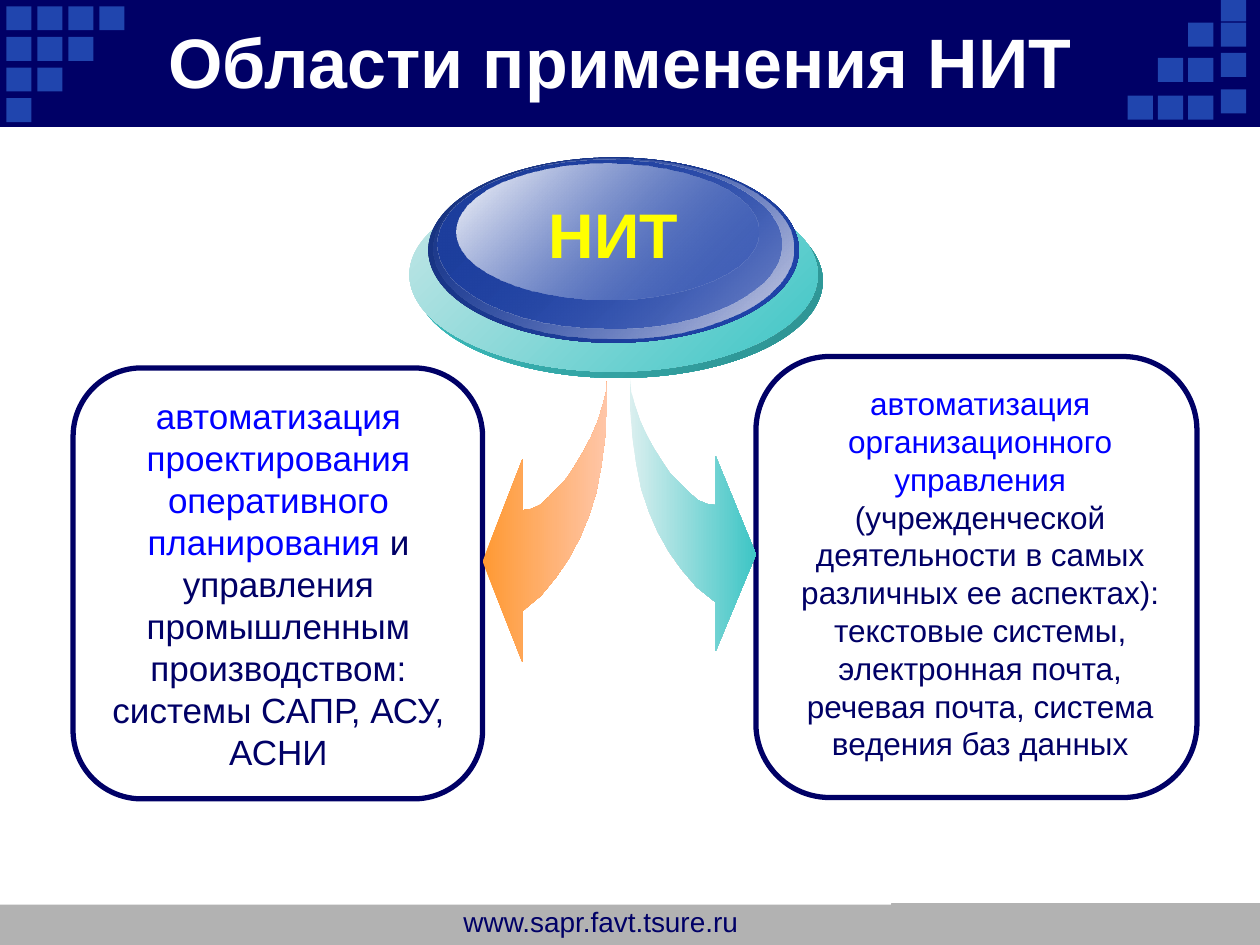
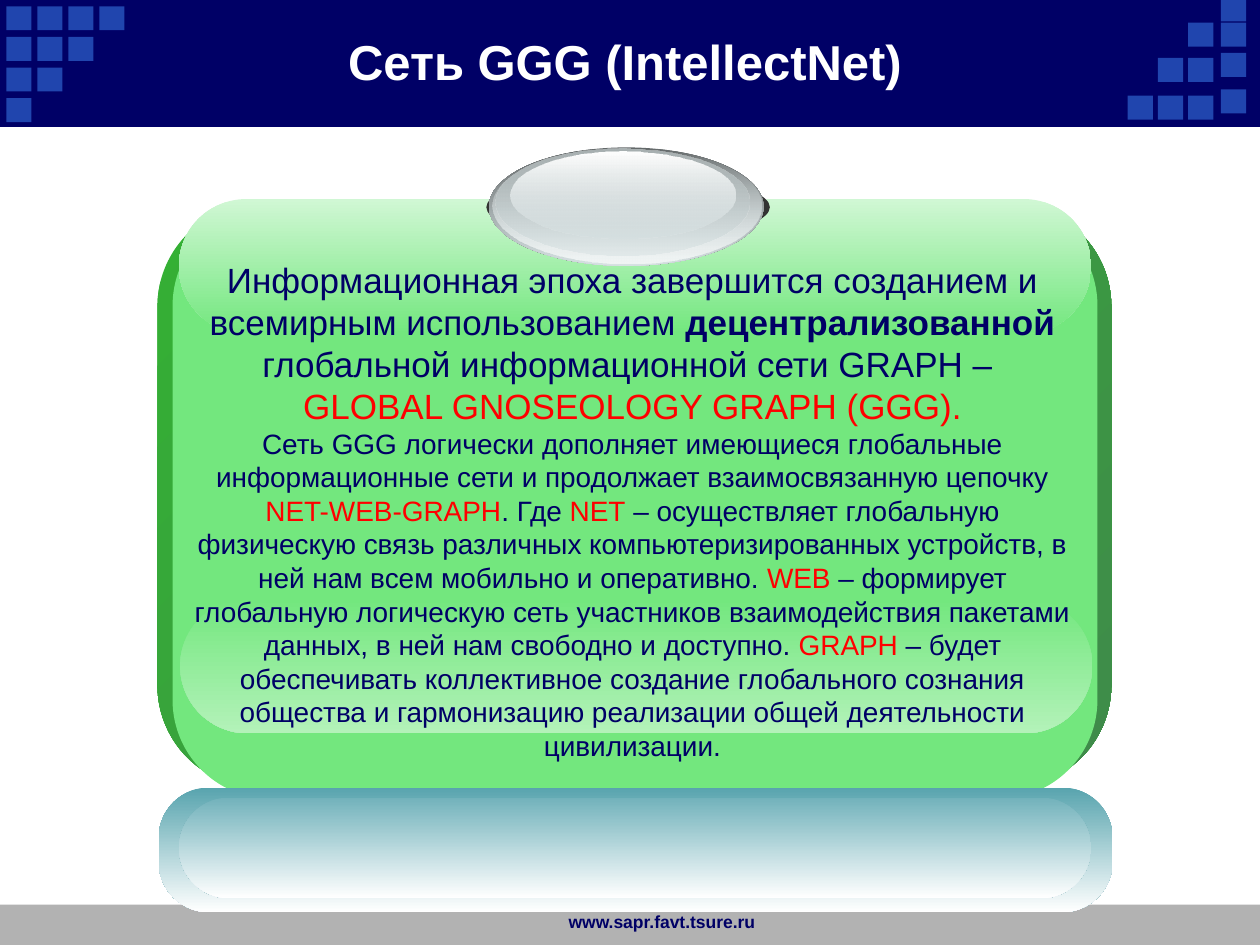
from dataclasses import dataclass

from lxml import etree
from pptx import Presentation
from pptx.dml.color import RGBColor
from pptx.enum.shapes import MSO_SHAPE
from pptx.enum.text import MSO_ANCHOR, PP_ALIGN
from pptx.oxml.ns import qn
from pptx.util import Emu, Inches, Pt

COLS, ROWS = 100, 75
OVAL, ROUND, RECT = MSO_SHAPE.OVAL, MSO_SHAPE.ROUNDED_RECTANGLE, MSO_SHAPE.RECTANGLE
SITE = "www.sapr.favt.tsure.ru"


@dataclass(frozen=True)
class Theme:
    font: str = "Arial"
    navy: str = "000066"
    blue: str = "2045AE"
    link: str = "0000FF"
    teal: str = "3DC5C5"
    orange: str = "FF9933"
    peach: str = "FFC6A8"
    pale_teal: str = "DAEFEF"
    silver: str = "D6E1E2"
    green: str = "73E77E"
    gray: str = "B2B2B2"
    white: str = "FFFFFF"
    yellow: str = "FFFF00"
    red: str = "FF0000"
    charcoal: str = "333333"
    title: int = 40
    subtitle: int = 28
    label: int = 36
    body: int = 20
    note: int = 18
    small: int = 16
    footer: int = 10


T = Theme()

# Right-hand curved arrow: columns and rows from its tail
ARROW = [
    (0, 0), (0, 2.4), (0.2, 4.7), (0.5, 6.8), (0.9, 8.8), (1.5, 10.6), (2.2, 12.2),
    (3.1, 13.8), (4.1, 15.2), (5.3, 16.6), (6.8, 17.8), (6.8, 21.7), (10, 14),
    (6.8, 6.2), (6.8, 10.1), (6.1, 10), (5.4, 9.7), (4.7, 9.1), (4, 8.4), (3.2, 7.6),
    (2.6, 6.7), (1.9, 5.6), (1.3, 4.5), (0.8, 3.4), (0.4, 2.2), (0.1, 1.1),
]


def write(tf, paragraphs, size=T.body, color=T.navy, bold=False, align=PP_ALIGN.CENTER):
    """Fill a frame; each paragraph is a list of strings or (string, overrides)."""
    for i, runs in enumerate(paragraphs):
        p = tf.paragraphs[0] if i == 0 else tf.add_paragraph()
        p.alignment = align
        for item in runs:
            text, own = (item, {}) if isinstance(item, str) else item
            r = p.add_run()
            r.text = text
            r.font.name = T.font
            r.font.size = Pt(own.get("size", size))
            r.font.bold = own.get("bold", bold)
            r.font.color.rgb = RGBColor.from_string(own.get("color", color))


class Deck:
    """Holds the presentation and the current slide; lengths are grid columns and rows."""

    def __init__(self):
        self.prs = Presentation()
        self.prs.slide_width, self.prs.slide_height = Inches(10), Inches(7.5)
        self.s = None

    def x(self, cols):
        return Emu(round(self.prs.slide_width * cols / COLS))

    def y(self, rows):
        return Emu(round(self.prs.slide_height * rows / ROWS))

    def box(self, left, top, width, height):
        return self.x(left), self.y(top), self.x(width), self.y(height)

    def paint(self, sp, fill=None, line=None, weight=0.75, angle=0):
        """Fill is a colour, or a list of (colour, opacity percent) gradient stops."""
        sp.shadow.inherit = False
        if fill is None:
            sp.fill.background()
        elif isinstance(fill, str):
            sp.fill.solid()
            sp.fill.fore_color.rgb = RGBColor.from_string(fill)
        else:
            sp.fill.gradient()
            sp.fill.gradient_angle = -angle % 360
            stops = sp.fill.gradient_stops
            for pos, (stop, (color, opacity)) in enumerate(zip(stops, fill)):
                stop.position = pos
                stop.color.rgb = RGBColor.from_string(color)
            clrs = sp.fill._xPr.iter(qn("a:srgbClr"))
            for clr, (color, opacity) in zip(clrs, fill):
                if opacity < 100:
                    etree.SubElement(clr, qn("a:alpha")).set("val", str(opacity * 1000))
        if line is None:
            sp.line.fill.background()
        else:
            sp.line.color.rgb = RGBColor.from_string(line)
            sp.line.width = Pt(weight)

    def shape(self, kind, *place, adj=None, **look):
        sp = self.s.shapes.add_shape(kind, *self.box(*place))
        if adj is not None:
            sp.adjustments[0] = adj
        self.paint(sp, **look)

    def blend(self, kind, place, start, end, angle, start_op=100, end_op=100, adj=None):
        self.shape(kind, *place, adj=adj, angle=angle,
                   fill=[(start, start_op), (end, end_op)])

    def text(self, *place, paragraphs, wrap=True, anchor=MSO_ANCHOR.TOP, **look):
        tf = self.s.shapes.add_textbox(*self.box(*place)).text_frame
        tf.word_wrap = wrap
        tf.vertical_anchor = anchor
        write(tf, paragraphs, **look)

    def outline(self, points, left, top, xscale, yscale, **look):
        pts = [(self.x(left + px * xscale), self.y(top + py * yscale)) for px, py in points]
        fb = self.s.shapes.build_freeform(*pts[0], scale=1.0)
        fb.add_line_segments(pts[1:], close=True)
        self.paint(fb.convert_to_shape(), **look)

    def title(self, left, width, text, size):
        self.text(left, 1.7, width, 6.2, paragraphs=[[text]], size=size, bold=True,
                  color=T.white, anchor=MSO_ANCHOR.MIDDLE)

    def slide(self):
        """Start a slide with the footer strip, title band and corner squares."""
        self.s = self.prs.slides.add_slide(self.prs.slide_layouts[6])
        self.shape(RECT, 0, 71.8, COLS, 3.2, fill=T.gray)
        self.shape(RECT, 0, 0, COLS, 10, fill=T.navy, line=T.navy)
        squares = [(0.5 + 2.46 * col, 0.5 + 2.43 * row)
                   for row in range(4) for col in range(4 - row)]
        steps = (7.6, 4.6, 1.8)
        squares += [(89.5 + 2.4 * col, top)
                    for col in range(3) for top in steps[:col + 1]]
        squares += [(96.9, top) for top in (7.1, 4.2, 1.8, -0.2)]
        for left, top in squares:
            self.shape(RECT, left, top, 2, 1.9, fill=T.blue)


def areas_slide(d):
    d.slide()
    d.title(6.7, 85, "Области применения НИТ", T.title)
    for place in ((60, 28.3, 35, 35), (5.8, 29.2, 32.5, 34.2)):
        d.shape(ROUND, *place, adj=0.167, line=T.navy, weight=3)
    d.text(6.7, 30.8, 30.8, 31.3, paragraphs=[[
        ("автоматизация проектирования оперативного планирования", {"color": T.link}),
        " и управления промышленным производством: системы САПР, АСУ, АСНИ"]])
    d.outline(ARROW, 48.2, 30, -0.99, 1.04, fill=[(T.orange, 100), (T.peach, 100)])
    d.outline(ARROW, 50, 30, 1, 1, fill=[(T.pale_teal, 100), (T.teal, 100)])

    for place, start, end, *opacity in (
        ((32.9, 14.6, 32.4, 15.4), T.teal, "2D9090"),
        ((32.5, 14.1, 32.4, 15.4), "C8E8E8", T.teal),
        ((34, 12.5, 29.4, 14.7), "17317C", T.blue),
        ((34.4, 12.6, 28.6, 14.3), T.blue, "D4D6E7", 0, 100),
        ((34.7, 12.7, 27.3, 13.4), "1D3E9D", T.blue, 100, 48),
        ((36.2, 13, 24, 10.8), T.white, T.blue, 100, 38),
    ):
        d.blend(OVAL, place, start, end, 45, *opacity)
    d.text(42.5, 15, 12.4, 7.1, paragraphs=[["НИТ"]], wrap=False,
           size=T.label, color=T.yellow, bold=True)

    d.text(62.5, 30, 30.6, 31.3, size=T.note, paragraphs=[[
        ("автоматизация организационного управления", {"color": T.link}),
        " (учрежденческой деятельности в самых различных ее аспектах): текстовые системы, "
        "электронная почта, речевая почта, система ведения баз данных"]])
    d.shape(RECT, 70.8, 71.7, 29.2, 3.3, fill=T.gray, line=T.gray)
    d.text(35.8, 71.3, 24.1, 3.7, paragraphs=[[SITE]], size=T.small, align=PP_ALIGN.LEFT)


def network_slide(d):
    d.slide()
    d.text(41.7, 71.8, 19.2, 3.2, paragraphs=[[SITE]], size=T.footer, bold=True,
           align=PP_ALIGN.RIGHT)

    d.blend(ROUND, (12.5, 16.2, 75.7, 46.3), "34B034", "3F8B4A", 45, adj=0.175)
    d.shape(ROUND, 13.7, 16.4, 73.4, 47, adj=0.167, fill=T.green)
    d.blend(ROUND, (14.3, 47.5, 72.4, 10.7), T.green, "B3F2B9", 90, adj=0.5)
    d.blend(ROUND, (14.2, 15.8, 72.4, 10.7), "D0F7D4", T.green, 90, adj=0.5)

    d.shape(OVAL, 38.6, 13.8, 22.5, 5.3, fill=T.charcoal)
    for place, start, end, *opacity in (
        ((38.8, 11.7, 21.8, 9.4), "636869", T.silver),
        ((39.1, 11.7, 21.3, 9.2), T.silver, "F1F5F5", 0, 100),
        ((39.3, 11.8, 20.2, 8.5), "AAB2B3", T.silver, 100, 48),
        ((40.5, 12, 17.9, 6.9), T.white, T.silver, 100, 38),
    ):
        d.blend(OVAL, place, start, end, 90, *opacity)

    red = {"color": T.red, "size": T.small}
    small = {"size": T.small}
    d.text(14.2, 20, 72, 41.4, paragraphs=[
        ["Информационная эпоха завершится созданием и всемирным использованием ",
         ("децентрализованной ", {"bold": True}),
         "глобальной информационной сети GRAPH – "],
        [("GLOBAL GNOSEOLOGY GRAPH (GGG).", {"color": T.red})],
        [("Сеть GGG логически дополняет имеющиеся глобальные информационные сети и "
          "продолжает взаимосвязанную цепочку ", small),
         ("NET-WEB-GRAPH", red), (". Где ", small), ("NET", red),
         (" – осуществляет глобальную физическую связь различных компьютеризированных "
          "устройств, в ней нам всем мобильно и оперативно. ", small),
         ("WEB", red),
         (" – формирует глобальную логическую сеть участников взаимодействия пакетами "
          "данных, в ней нам свободно и доступно. ", small),
         ("GRAPH", red),
         (" – будет обеспечивать коллективное создание глобального сознания общества и "
          "гармонизацию реализации общей деятельности цивилизации.", small)],
    ])
    d.blend(ROUND, (12.6, 62.5, 75.7, 9.9), "58A4AE", T.white, 90, adj=0.404)
    d.blend(ROUND, (14.2, 63.3, 72.4, 8), "72B2BB", T.white, 90, adj=0.5)
    d.title(9.2, 80.8, "Сеть GGG (IntellectNet)", T.subtitle)


def main():
    d = Deck()
    areas_slide(d)
    network_slide(d)
    d.prs.save("out.pptx")


if __name__ == "__main__":
    main()
